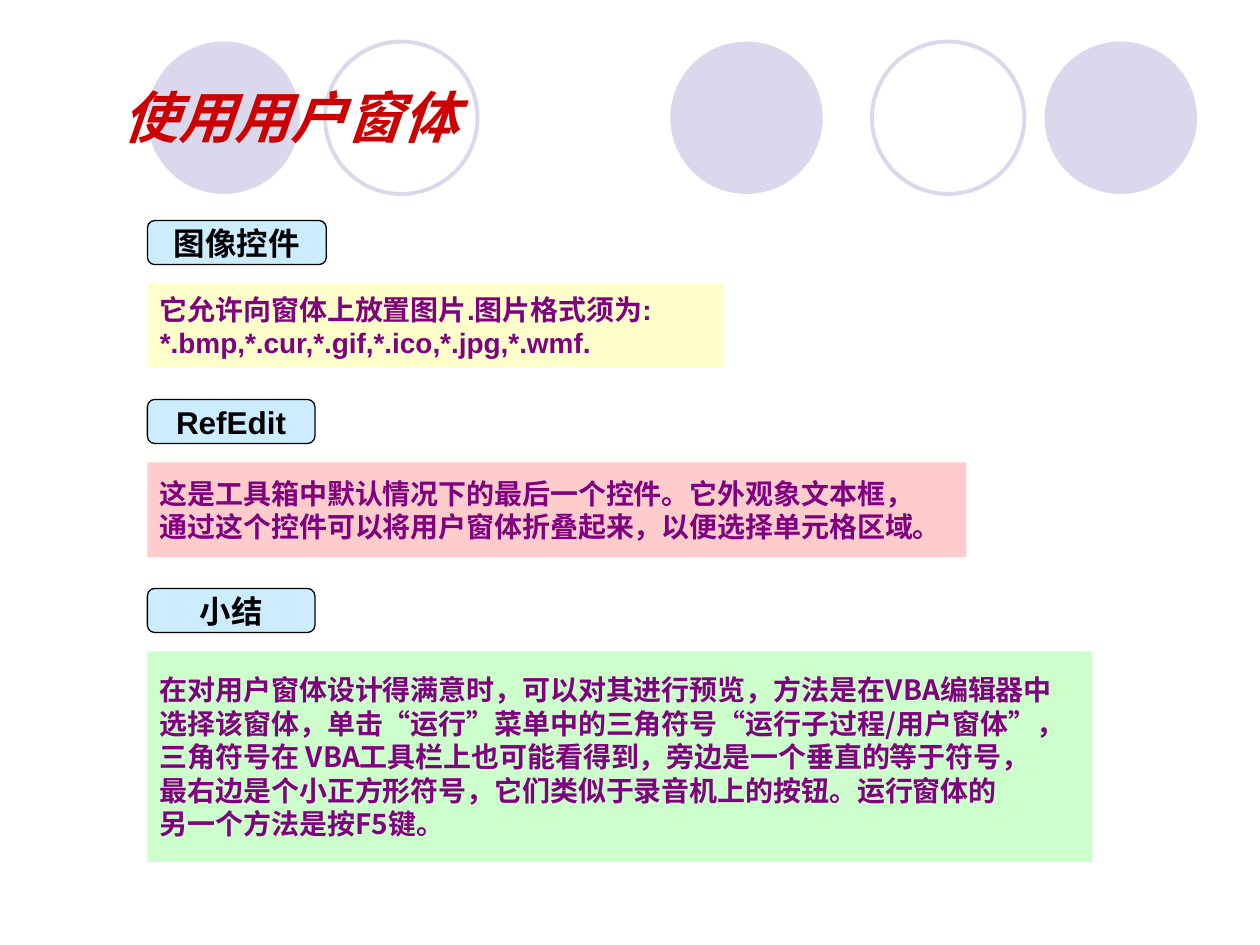
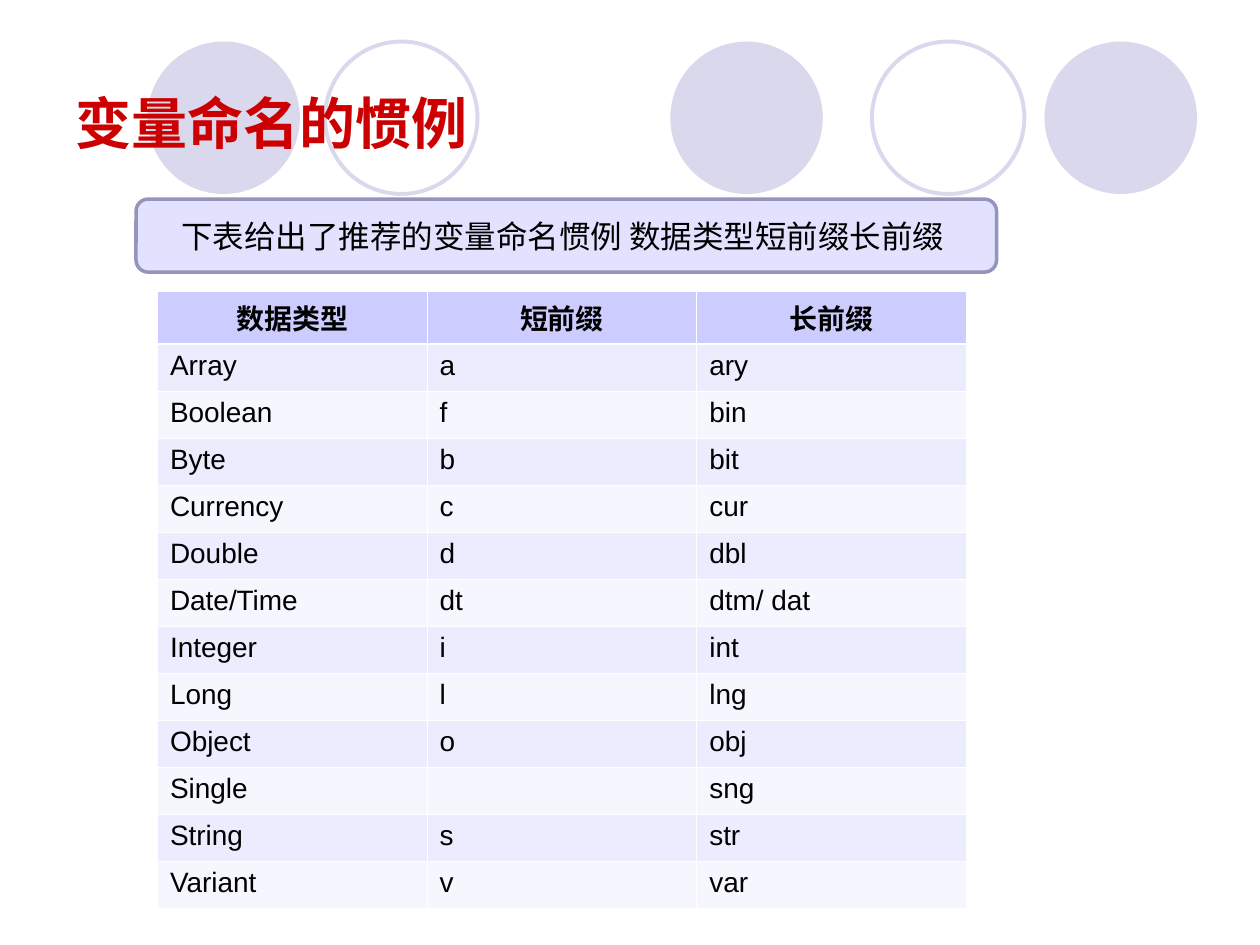
from dataclasses import dataclass

from lxml import etree
from pptx import Presentation
from pptx.dml.color import RGBColor
from pptx.enum.shapes import MSO_SHAPE
from pptx.enum.text import MSO_ANCHOR, PP_ALIGN
from pptx.oxml.ns import qn
from pptx.util import Inches, Pt

ELLIPSE = MSO_SHAPE.OVAL
RECTANGLE = MSO_SHAPE.RECTANGLE
ROUNDED = MSO_SHAPE.ROUNDED_RECTANGLE
LEFT, CENTER = PP_ALIGN.LEFT, PP_ALIGN.CENTER
MIDDLE = MSO_ANCHOR.MIDDLE
TITLE_ONLY = 5


@dataclass(frozen=True)
class Theme:
    latin: str = "Arial"
    chinese: str = "Noto Sans CJK SC"
    circle: str = "D9D8EC"
    title: str = "CC0000"
    ink: str = "000000"
    note: str = "800080"
    label: str = "CCECFF"
    yellow: str = "FFFFCC"
    pink: str = "FFCCCC"
    green: str = "CCFFCC"
    banner: str = "E2E2FF"
    banner_line: str = "9595BC"
    header: str = "CCCCFF"
    bands: tuple = ("ECECFF", "F6F6FF")
    border: str = "FFFFFF"
    title_size: int = 32
    label_size: int = 18
    body_size: int = 16


THEME = Theme()

CIRCLES = [(1.17, True), (2.58, False), (5.32, True), (6.92, False), (8.29, True)]
CIRCLE_TOP, CIRCLE_SIZE = 0.33, 1.21

SECTIONS = [
    ("图像控件", 1.42, (1.17, 1.75, 4.58, 1.17), THEME.yellow, THEME.latin,
     ["它允许向窗体上放置图片.图片格式须为:",
      "*.bmp,*.cur,*.gif,*.ico,*.jpg,*.wmf."]),
    ("RefEdit", 1.33, (1.17, 3.17, 6.5, 1.25), THEME.pink, THEME.latin,
     ["这是工具箱中默认情况下的最后一个控件。它外观象文本框，",
      "通过这个控件可以将用户窗体折叠起来，以便选择单元格区域。"]),
    ("小结", 1.33, (1.17, 4.67, 7.5, 2.17), THEME.green, THEME.chinese,
     ["在对用户窗体设计得满意时，可以对其进行预览，方法是在VBA编辑器中",
      "选择该窗体，单击“运行”菜单中的三角符号“运行子过程/用户窗体”，",
      "三角符号在 VBA工具栏上也可能看得到，旁边是一个垂直的等于符号，",
      "最右边是个小正方形符号，它们类似于录音机上的按钮。运行窗体的",
      "另一个方法是按F5键。"]),
]

PREFIXES = [
    ("数据类型", "短前缀", "长前缀"),
    ("Array", "a", "ary"),
    ("Boolean", "f", "bin"),
    ("Byte", "b", "bit"),
    ("Currency", "c", "cur"),
    ("Double", "d", "dbl"),
    ("Date/Time", "dt", "dtm/ dat"),
    ("Integer", "i", "int"),
    ("Long", "l", "lng"),
    ("Object", "o", "obj"),
    ("Single", "", "sng"),
    ("String", "s", "str"),
    ("Variant", "v", "var"),
]


def color(value):
    return RGBColor.from_string(value)


def inches(box):
    return [Inches(length) for length in box]


def write_lines(frame, lines, size, ink, bold=False, italic=False,
                align=LEFT, latin=THEME.latin):
    for index, line in enumerate(lines):
        paragraph = frame.paragraphs[0] if index == 0 else frame.add_paragraph()
        paragraph.alignment = align
        font = paragraph.font
        font.name, font.size = latin, Pt(size)
        font.bold, font.italic = bold, italic
        font.color.rgb = color(ink)
        defaults = paragraph._p.pPr.find(qn("a:defRPr"))
        etree.SubElement(defaults, qn("a:ea"), typeface=THEME.chinese)
        if line:
            paragraph.add_run().text = line
        else:
            etree.SubElement(paragraph._p, qn("a:endParaRPr"), sz=str(size * 100))


def add_panel(slide, kind, box, fill=None, line=None, width=0.75, wrap=False):
    shape = slide.shapes.add_shape(kind, *inches(box))
    shape.shadow.inherit = False
    if fill:
        shape.fill.solid()
        shape.fill.fore_color.rgb = color(fill)
    else:
        shape.fill.background()
    if line:
        shape.line.color.rgb = color(line)
        shape.line.width = Pt(width)
    else:
        shape.line.fill.background()
    shape.text_frame.word_wrap = wrap
    shape.text_frame.vertical_anchor = MIDDLE
    return shape


def move_circles_to_layout(slide):
    layout = slide.slide_layout
    for placeholder in list(layout.placeholders):
        if placeholder.placeholder_format.idx != 0:
            placeholder._element.getparent().remove(placeholder._element)
    circles = []
    for left, filled in CIRCLES:
        box = (left, CIRCLE_TOP, CIRCLE_SIZE, CIRCLE_SIZE)
        if filled:
            circles.append(add_panel(slide, ELLIPSE, box, fill=THEME.circle))
        else:
            circles.append(add_panel(slide, ELLIPSE, box, line=THEME.circle, width=2.25))
    for circle in circles:
        layout.shapes._spTree.insert(2, circle._element)


def set_title(slide, text, indent=0.1, top_inset=0.05, italic=False):
    title = slide.shapes.title
    title.left, title.top, title.width, title.height = inches((0.5, 0.3, 9, 1.25))
    frame = title.text_frame
    frame.vertical_anchor = MIDDLE
    frame.margin_left, frame.margin_top = Inches(indent), Inches(top_inset)
    write_lines(frame, [text], THEME.title_size, THEME.title, bold=True, italic=italic)


def add_section(slide, heading, label_width, box, fill, latin, lines):
    left, top, width, height = box
    note_offset = 0.5
    label = add_panel(slide, ROUNDED, (left, top, label_width, 0.35),
                      THEME.label, THEME.ink)
    write_lines(label.text_frame, [heading], THEME.label_size, THEME.ink,
                bold=True, align=CENTER)
    note = add_panel(slide, RECTANGLE,
                     (left, top + note_offset, width, height - note_offset), fill)
    write_lines(note.text_frame, lines, THEME.body_size, THEME.note,
                bold=True, latin=latin)


def add_banner(slide, box, text):
    banner = add_panel(slide, ROUNDED, box, THEME.banner, THEME.banner_line, 2, True)
    write_lines(banner.text_frame, [text], THEME.label_size, THEME.ink, align=CENTER)


def set_cell_borders(cell, widths):
    properties = cell._tc.get_or_add_tcPr()
    for index, (side, width) in enumerate(widths.items()):
        line = etree.Element(qn(f"a:ln{side}"), w=str(Pt(width)))
        fill = etree.SubElement(line, qn("a:solidFill"))
        etree.SubElement(fill, qn("a:srgbClr"), val=THEME.border)
        properties.insert(index, line)


def add_prefix_table(slide, box, rows):
    header_height = 0.41
    thin, thick = 0.45, 1.47
    table = slide.shapes.add_table(len(rows), len(rows[0]), *inches(box)).table
    table.first_row = table.horz_banding = False
    for column in table.columns:
        column.width = Inches(box[2] / len(rows[0]))
    for index, values in enumerate(rows):
        is_header = index == 0
        row_height = (box[3] - header_height) / (len(rows) - 1)
        table.rows[index].height = Inches(header_height if is_header else row_height)
        for cell, value in zip(table.rows[index].cells, values):
            cell.fill.solid()
            fill = THEME.header if is_header else THEME.bands[(index - 1) % 2]
            cell.fill.fore_color.rgb = color(fill)
            set_cell_borders(cell, {"L": thin, "R": thin,
                                    "T": thick if index == 1 else thin,
                                    "B": thick if is_header else thin})
            write_lines(cell.text_frame, [value], THEME.body_size, THEME.ink,
                        bold=is_header, align=CENTER if is_header else LEFT)


def build_controls_slide(slide):
    set_title(slide, "使用用户窗体", indent=0.47, italic=True)
    for section in SECTIONS:
        add_section(slide, *section)


def build_naming_slide(slide):
    set_title(slide, "变量命名的惯例", top_inset=0.14)
    add_banner(slide, (1.08, 1.58, 6.83, 0.58),
               "下表给出了推荐的变量命名惯例 数据类型短前缀长前缀 ")
    add_prefix_table(slide, (1.25, 2.31, 6.42, 4.89), PREFIXES)


def main():
    presentation = Presentation()
    presentation.slide_width, presentation.slide_height = Inches(10), Inches(7.5)
    layout = presentation.slide_layouts[TITLE_ONLY]
    controls_slide = presentation.slides.add_slide(layout)
    move_circles_to_layout(controls_slide)
    build_controls_slide(controls_slide)
    build_naming_slide(presentation.slides.add_slide(layout))
    presentation.save("out.pptx")


if __name__ == "__main__":
    main()
